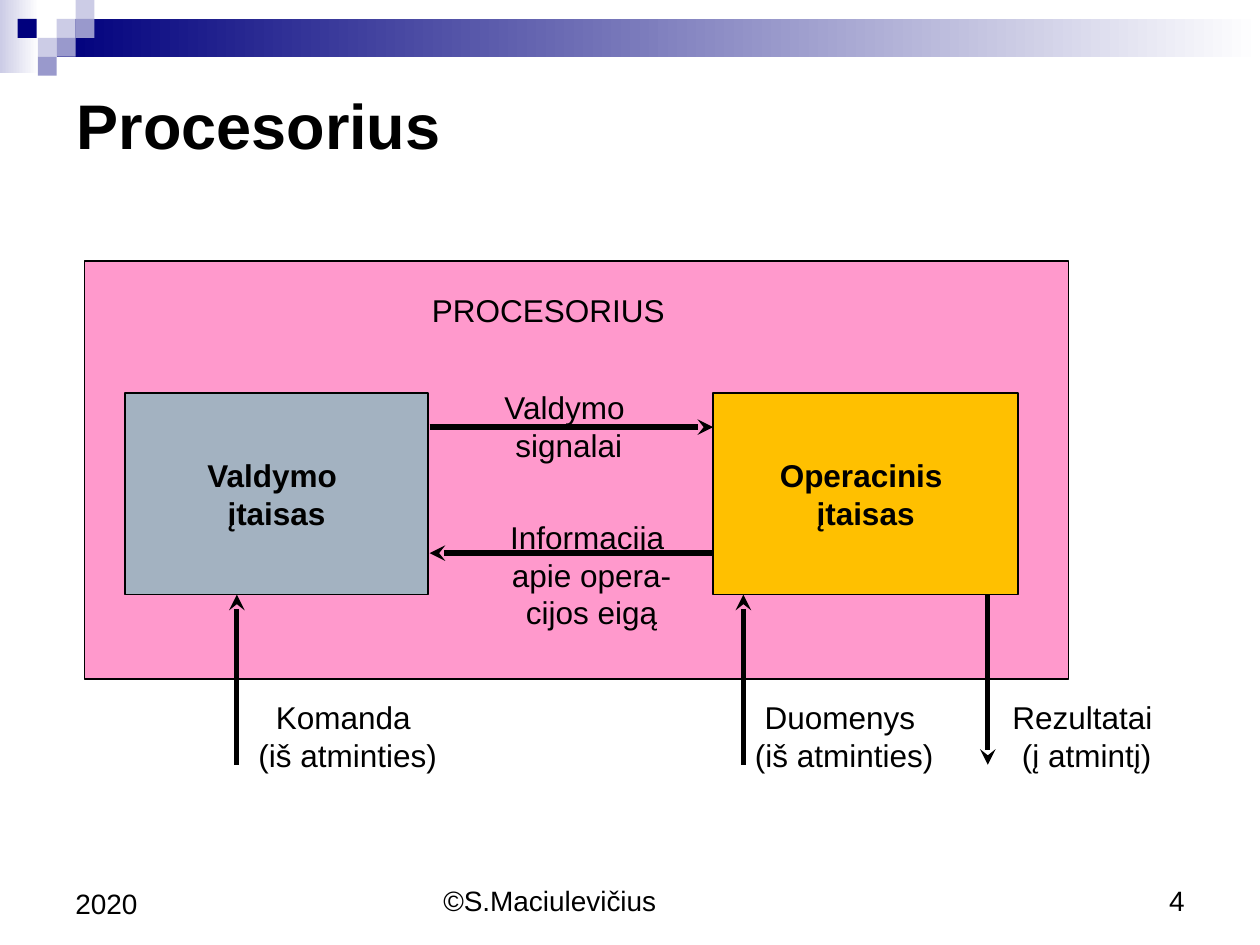
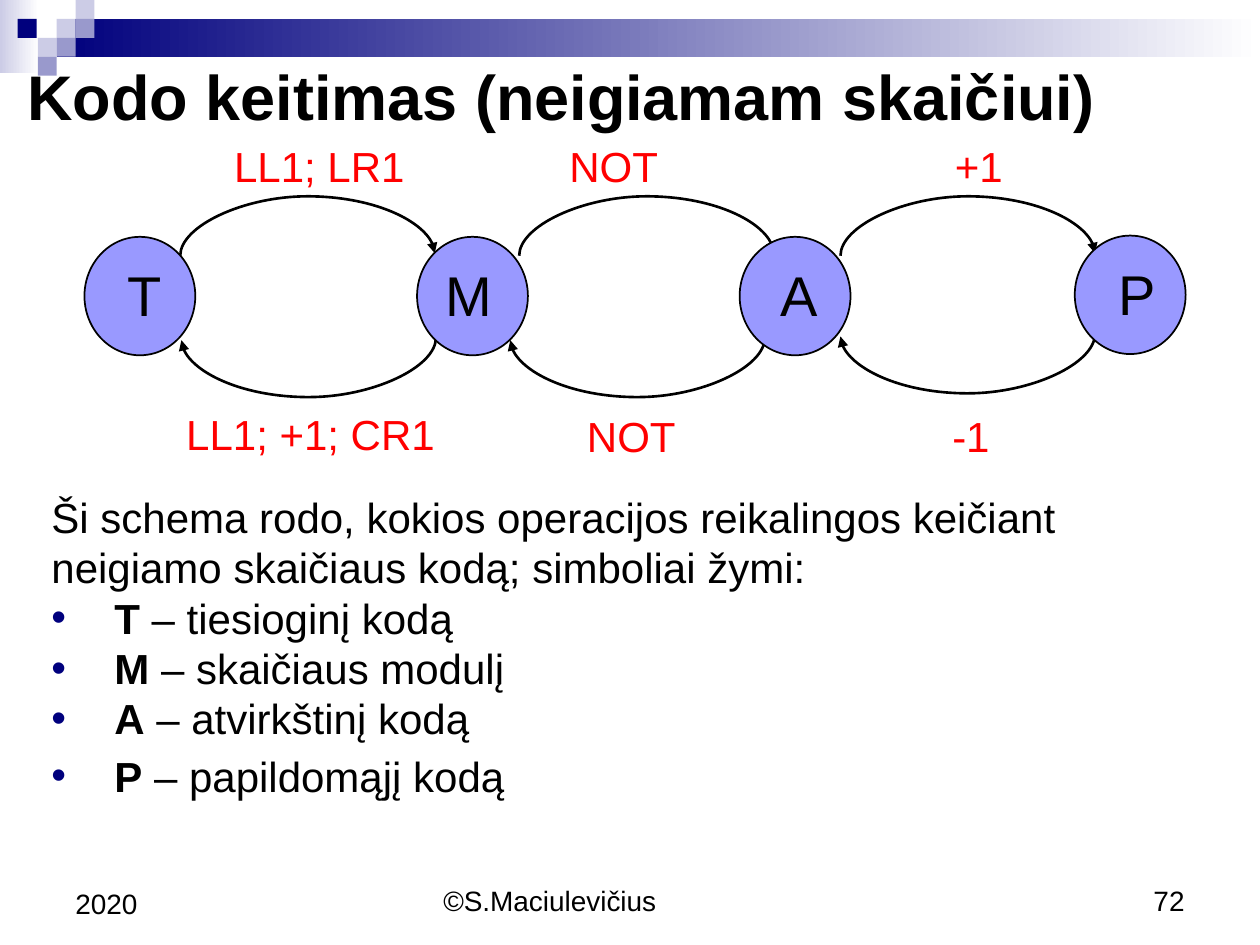
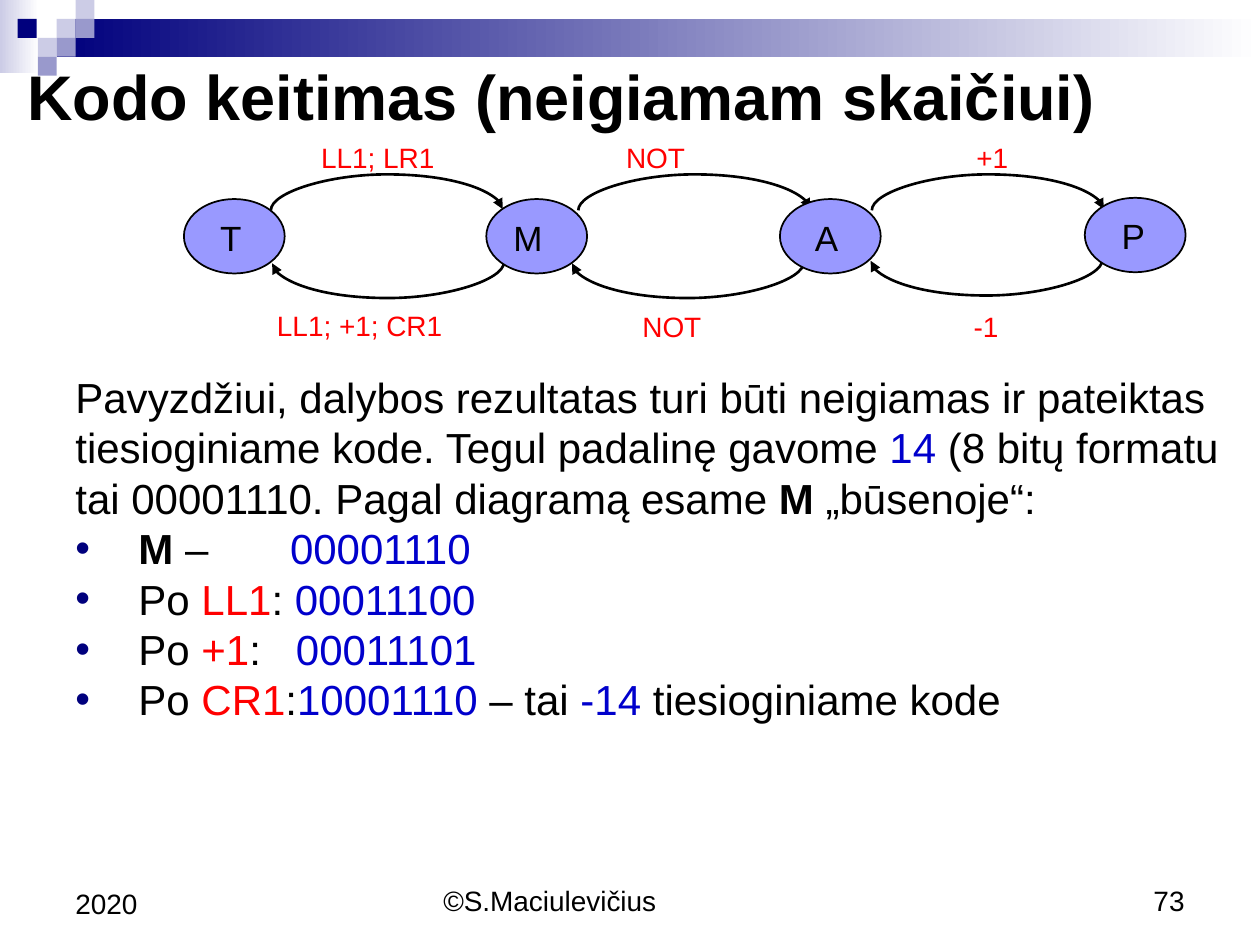
from dataclasses import dataclass
from typing import Any, NamedTuple

from pptx import Presentation
from pptx import util as u
from pptx.dml.color import RGBColor
from pptx.enum import shapes, text
from pptx.oxml.ns import qn
from pptx.oxml.xmlchemy import OxmlElement

PX = 9144
FONT = "Arial"
COLORS = {
    "black": "000000", "white": "FFFFFF", "navy": "00007D", "lavender": "CCCCE6",
    "violet": "9999CC", "pink": "FF99CC", "steel": "A3B2C1", "amber": "FFC000",
    "node": "9999FF", "red": "FF0000", "blue": "0000CC",
}
LEFT, CENTER, RIGHT = text.PP_ALIGN.LEFT, text.PP_ALIGN.CENTER, text.PP_ALIGN.RIGHT
TOP, MIDDLE, BOTTOM = text.MSO_ANCHOR.TOP, text.MSO_ANCHOR.MIDDLE, text.MSO_ANCHOR.BOTTOM
RECT, OVAL = shapes.MSO_SHAPE.RECTANGLE, shapes.MSO_SHAPE.OVAL
CODE_TITLE = "Kodo keitimas (neigiamam skaičiui)"


class Box(NamedTuple):
    x: int
    y: int
    w: int
    h: int


class Run(NamedTuple):
    text: str
    color: str = "black"
    bold: bool = False
    spacing: int = 0


class Para(NamedTuple):
    runs: tuple[Run, ...]
    bullet: bool = False
    before: int = 0


class Point(NamedTuple):
    x: int
    y: int


@dataclass(frozen=True)
class Style:
    size: int
    align: Any = LEFT
    anchor: Any = TOP
    wrap: bool = True
    fit: bool = False


@dataclass(frozen=True)
class Block:
    box: Box
    lines: tuple[str, ...]
    fill: str = ""
    bold: bool = False


@dataclass(frozen=True)
class Diagram:
    node_w: int
    node_h: int
    node_size: int
    label_size: int
    span: int
    rise: int
    depth: int
    nodes: tuple[Point, ...]
    upper_arcs: tuple[Point, ...]
    lower_arcs: tuple[Point, ...]
    upper_labels: tuple[Box, ...]
    lower_labels: tuple[Box, ...]


NODES = (" T", "M", " A", " P")
UPPER = ("LL1; LR1", "NOT", "+1")
LOWER = ("LL1; +1; CR1", "NOT", "-1")

BAND_SQUARES = (
    (45, 15, "lavender"), (60, 0, "lavender"), (60, 15, "violet"), (30, 30, "lavender"),
    (14, 15, "navy"), (45, 30, "violet"), (30, 45, "violet"),
)

UNITS = (
    Block(Box(99, 312, 241, 160), ("Valdymo ", "įtaisas"), "steel", True),
    Block(Box(566, 312, 242, 160), ("Operacinis ", "įtaisas"), "amber", True),
)
SIGNALS = (
    Block(Box(381, 406, 177, 122), ("Informacija ", "apie opera-", "cijos eigą")),
    Block(Box(381, 303, 141, 86), ("Valdymo ", "signalai")),
    Block(Box(180, 549, 192, 86), ("Komanda ", "(iš atminties)")),
    Block(Box(574, 549, 192, 86), ("Duomenys ", "(iš atminties)")),
    Block(Box(784, 549, 157, 86), ("Rezultatai ", "(į atmintį)")),
)
ARROWS = (
    (Point(341, 339), Point(566, 339)),
    (Point(566, 439), Point(341, 439)),
    (Point(188, 607), Point(188, 472)),
    (Point(590, 607), Point(590, 472)),
    (Point(784, 472), Point(784, 607)),
)

LARGE = Diagram(
    88, 94, 32, 24, 202, 2, 47,
    nodes=(Point(67, 188), Point(331, 188), Point(587, 188), Point(853, 187)),
    upper_arcs=(Point(143, 203), Point(412, 203), Point(667, 203)),
    lower_arcs=(Point(346, 268), Point(607, 268), Point(869, 265)),
    upper_labels=(Box(176, 107, 157, 50), Box(442, 107, 91, 50), Box(748, 107, 59, 50)),
    lower_labels=(Box(138, 319, 220, 50), Box(456, 321, 91, 50), Box(746, 321, 50, 50)),
)
SMALL = Diagram(
    80, 59, 20, 16, 184, 1, 29,
    nodes=(Point(146, 158), Point(386, 158), Point(619, 158), Point(861, 157)),
    upper_arcs=(Point(215, 167), Point(459, 167), Point(692, 167)),
    lower_arcs=(Point(400, 208), Point(638, 208), Point(875, 206)),
    upper_labels=(Box(245, 107, 111, 37), Box(487, 107, 68, 37), Box(765, 107, 46, 37)),
    lower_labels=(Box(210, 240, 153, 37), Box(500, 241, 68, 37), Box(763, 241, 40, 37)),
)

LEGEND = (
    Para((Run("Ši schema rodo, kokios operacijos reikalingos keičiant neigiamo "
              "skaičiaus kodą; simboliai žymi:"),)),
    *(Para((Run(symbol, bold=True), Run(f" – {meaning}")), True, before)
      for symbol, meaning, before in (
          ("T", "tiesioginį kodą", 0), ("M", "skaičiaus modulį", 0),
          ("A", "atvirkštinį kodą", 0), ("P", "papildomąjį kodą", 4))),
)
EXAMPLE = (
    Para((
        Run("Pavyzdžiui, dalybos rezultatas turi būti neigiamas ir pateiktas "
            "tiesioginiame kode. Tegul padalinę gavome "),
        Run("14", "blue"),
        Run(" (8 bitų formatu tai 00001110. Pagal diagramą esame "),
        Run("M ", bold=True),
        Run("„būsenoje“:"),
    )),
    Para((Run("M", bold=True), Run(" –"), Run(" ", spacing=4000),
          Run("00001110", "blue")), True),
    Para((Run("Po "), Run("LL1", "red"), Run(": "), Run("00011100", "blue")), True),
    Para((Run("Po "), Run("+1", "red"), Run(":"), Run(" ", spacing=1333),
          Run("00011101", "blue")), True),
    Para((Run("Po "), Run("CR1", "red"), Run(":"), Run("10001110", "blue"),
          Run(" – tai "), Run("-14 ", "blue"), Run("tiesioginiame kode")), True),
)


def rgb(name: str) -> RGBColor:
    return RGBColor.from_string(COLORS[name])


def emu(values: tuple[int, ...]) -> list[int]:
    return [v * PX for v in values]


def apply(target: Any, values: dict[str, Any]) -> None:
    for name, value in values.items():
        setattr(target, name, value)


def plain(*lines: str, color: str = "black", bold: bool = False) -> tuple[Para, ...]:
    return tuple(Para((Run(line, color, bold),)) for line in lines)


def add_bullet(p: Any) -> None:
    props = p._p.get_or_add_pPr()
    props.set("marL", str(50 * PX))
    props.set("indent", str(-50 * PX))
    color = OxmlElement("a:buClr")
    value = OxmlElement("a:srgbClr")
    value.set("val", COLORS["navy"])
    color.append(value)
    font = OxmlElement("a:buFont")
    font.set("typeface", FONT)
    char = OxmlElement("a:buChar")
    char.set("char", "•")
    for child in (color, font, char):
        props.append(child)


def write(sp: Any, paras: tuple[Para, ...], style: Style) -> None:
    tf = sp.text_frame
    fit = text.MSO_AUTO_SIZE.SHAPE_TO_FIT_TEXT if style.fit else text.MSO_AUTO_SIZE.NONE
    apply(tf, {"word_wrap": style.wrap, "auto_size": fit, "vertical_anchor": style.anchor})
    for i, para in enumerate(paras):
        p = tf.add_paragraph() if i else tf.paragraphs[0]
        apply(p, {"alignment": style.align, "space_before": u.Pt(para.before)})
        if para.bullet:
            add_bullet(p)
        for run in para.runs:
            r = p.add_run()
            r.text = run.text
            apply(r.font, {"name": FONT, "size": u.Pt(style.size), "bold": run.bold})
            r.font.color.rgb = rgb(run.color)
            if run.spacing:
                r._r.get_or_add_rPr().set("spc", str(run.spacing))


def add_text(s: Any, box: Box, paras: tuple[Para, ...], style: Style) -> None:
    write(s.shapes.add_textbox(*emu(box)), paras, style)


def add_shape(s: Any, kind: Any, box: Box, fill: str, fade: bool = False,
              outline: bool = False) -> Any:
    sp = s.shapes.add_shape(kind, *emu(box))
    sp.shadow.inherit = False
    if fade:
        sp.fill.gradient()
        sp.fill.gradient_angle = 0
        for stop, color, position in zip(sp.fill.gradient_stops, (fill, "white"), (0, 1)):
            stop.color.rgb = rgb(color)
            stop.position = position
    else:
        sp.fill.solid()
        sp.fill.fore_color.rgb = rgb(fill)
    if outline:
        sp.line.color.rgb = rgb("black")
        sp.line.width = u.Pt(1)
    else:
        sp.line.fill.background()
    return sp


def add_arrow(s: Any, kind: Any, ends: list[int], width: float, head: str) -> Any:
    c = s.shapes.add_connector(kind, *ends)
    c.line.color.rgb = rgb("black")
    c.line.width = u.Pt(width)
    tail = OxmlElement("a:tailEnd")
    tail.set("type", head)
    c.line._get_or_add_ln().append(tail)
    c._element.spPr.append(OxmlElement("a:effectLst"))
    return c


def add_arc(s: Any, start: Point, d: Diagram, upper: bool) -> None:
    sign = 1 if upper else -1
    half_rise, half_span = sign * d.rise * PX // 2, sign * d.span * PX // 2
    cx, cy = start.x * PX + half_span, start.y * PX - half_rise
    ends = [cx + half_rise, cy + half_span, cx - half_rise, cy - half_span]
    c = add_arrow(s, shapes.MSO_CONNECTOR.CURVE, ends, 1.5, "triangle")
    props = c._element.spPr
    props.find(qn("a:xfrm")).set("rot", "5400000")
    guide = OxmlElement("a:gd")
    guide.set("name", "adj1")
    guide.set("fmla", f"val {d.depth * 100000 // d.rise}")
    geometry = props.find(qn("a:prstGeom"))
    guides = geometry.find(qn("a:avLst"))
    if guides is None:
        guides = OxmlElement("a:avLst")
        geometry.append(guides)
    guides.append(guide)


def add_diagram(s: Any, d: Diagram) -> None:
    for starts, upper in ((d.upper_arcs, True), (d.lower_arcs, False)):
        for start in starts:
            add_arc(s, start, d, upper)
    label = Style(d.label_size, wrap=False, fit=True)
    for box, name in zip(d.upper_labels + d.lower_labels, UPPER + LOWER):
        add_text(s, box, plain(name, color="red"), label)
    for at, name in zip(d.nodes, NODES):
        sp = add_shape(s, OVAL, Box(*at, d.node_w, d.node_h), "node", outline=True)
        write(sp, plain(name), Style(d.node_size, wrap=False))


def add_slide(prs: Any, title: str, title_box: Box, number: int) -> Any:
    s = prs.slides.add_slide(prs.slide_layouts[6])
    add_shape(s, RECT, Box(0, 0, 31, 58), "lavender", fade=True)
    add_shape(s, RECT, Box(45, 15, 955, 30), "navy", fade=True)
    for x, y, color in BAND_SQUARES:
        add_shape(s, RECT, Box(x, y, 15, 15), color)
    for box, footer, align in (
        (Box(342, 683, 317, 50), "©S.Maciulevičius", LEFT),
        (Box(717, 683, 233, 50), str(number), RIGHT),
        (Box(50, 683, 233, 52), "2020", LEFT),
    ):
        add_text(s, box, plain(footer), Style(16, align, BOTTOM))
    add_text(s, title_box, plain(title, bold=True), Style(36, anchor=MIDDLE))
    return s


def add_processor(prs: Any) -> None:
    s = add_slide(prs, "Procesorius", Box(51, 58, 900, 81), 4)
    add_shape(s, RECT, Box(67, 207, 781, 332), "pink", outline=True)
    for unit in UNITS:
        sp = add_shape(s, RECT, unit.box, unit.fill, outline=True)
        write(sp, plain(*unit.lines, bold=unit.bold), Style(18, CENTER, MIDDLE))
    add_text(s, Box(333, 226, 210, 49), plain("PROCESORIUS"), Style(18))
    for start, end in ARROWS:
        add_arrow(s, shapes.MSO_CONNECTOR.STRAIGHT, emu(start + end), 3, "stealth")
    for signal in SIGNALS:
        add_text(s, signal.box, plain(*signal.lines), Style(18, CENTER))


def add_code_change(prs: Any, number: int, d: Diagram, box: Box,
                    body: tuple[Para, ...]) -> None:
    s = add_slide(prs, CODE_TITLE, Box(12, 44, 984, 63), number)
    add_text(s, box, body, Style(24, fit=True))
    add_diagram(s, d)


def main() -> None:
    prs = Presentation()
    apply(prs, {"slide_width": 1000 * PX, "slide_height": 750 * PX})
    add_processor(prs)
    add_code_change(prs, 72, LARGE, Box(31, 385, 945, 259), LEGEND)
    add_code_change(prs, 73, SMALL, Box(50, 290, 945, 300), EXAMPLE)
    prs.save("out.pptx")


if __name__ == "__main__":
    main()
